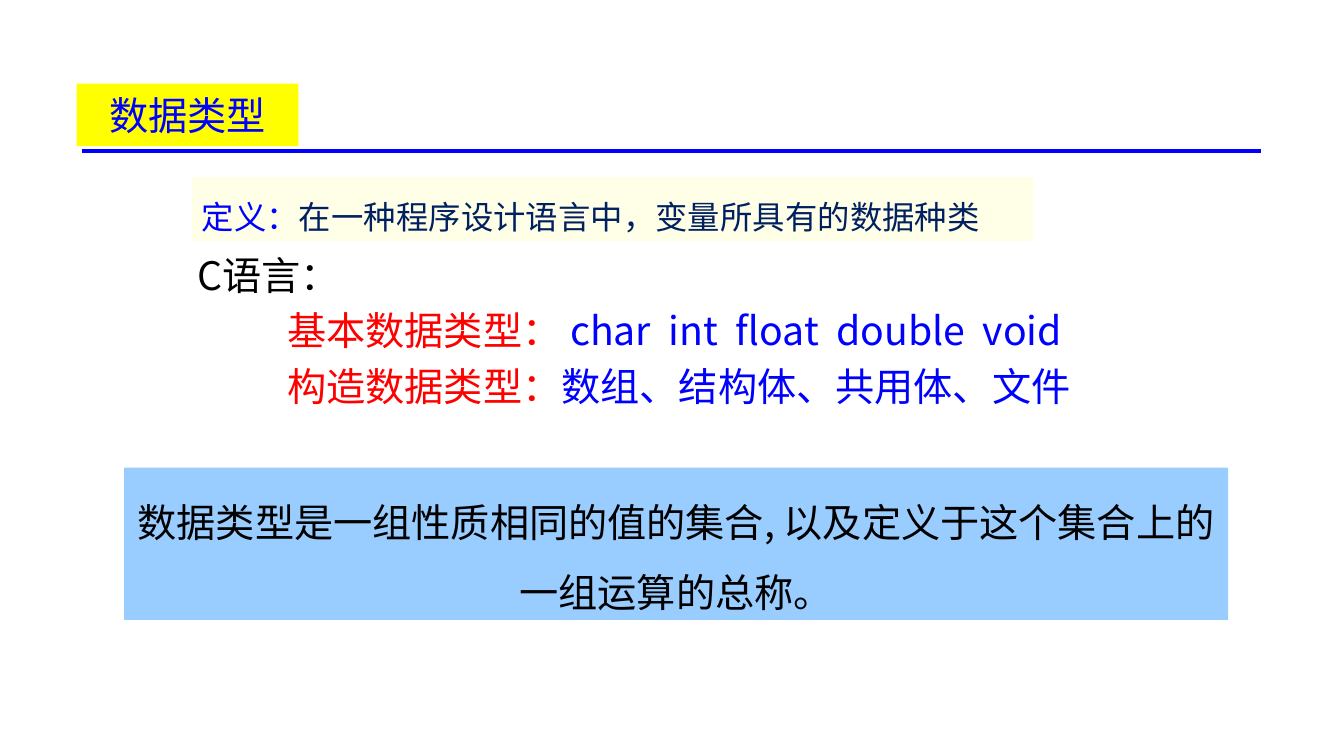
from pptx import Presentation
from pptx.dml.color import RGBColor
from pptx.enum.shapes import MSO_CONNECTOR, MSO_SHAPE
from pptx.enum.text import MSO_ANCHOR, MSO_AUTO_SIZE, PP_ALIGN
from pptx.oxml.ns import qn
from pptx.util import Inches, Pt

FONT = "Noto Sans CJK SC"
BLUE = RGBColor(0x00, 0x00, 0xFF)
NAVY = RGBColor(0x00, 0x20, 0x60)
RED = RGBColor(0xFF, 0x00, 0x00)
BLACK = RGBColor(0x00, 0x00, 0x00)
YELLOW = RGBColor(0xFF, 0xFF, 0x00)
CREAM = RGBColor(0xFF, 0xFF, 0xE7)
SKY = RGBColor(0x99, 0xCC, 0xFF)

# Each paragraph is a list of (text, colour) runs.
TITLE = [[("数据类型", BLUE)]]
DEFINITION = [[("定义：", BLUE), ("在一种程序设计语言中，变量所具有的数据种类", NAVY)]]
BASIC_TYPES = ("char", "int", "float", "double", "void")
BUILT_TYPES = ("数组", "结构体", "共用体", "文件")
TYPES = [
    [("C语言：", BLACK)],
    [("基本数据类型： ", RED), ("  ".join(BASIC_TYPES), BLUE)],
    [("构造数据类型：", RED), ("、".join(BUILT_TYPES), BLUE)],
]
SUMMARY = [[("数据类型是一组性质相同的值的集合, 以及定义于这个集合上的一组运算的总称。", BLACK)]]

# Left, top, width, height in inches
TITLE_BOX = (0.76, 0.83, 2.2, 0.62)
DEFINITION_BOX = (1.9, 1.76, 8.35, 0.63)
TYPES_BOX = (1.86, 2.36, 9.21, 1.8)
SUMMARY_BOX = (1.23, 4.64, 10.95, 1.51)
RULE_LEFT, RULE_RIGHT, RULE_TOP = 0.81, 12.51, 1.5
TYPE_INDENT = 0.89


def place(shape, box, fill=None):
    shape.left, shape.top, shape.width, shape.height = map(Inches, box)
    if fill is not None:
        shape.fill.solid()
        shape.fill.fore_color.rgb = fill


def write(shape, paragraphs, size, line_height, align=PP_ALIGN.LEFT,
          anchor=MSO_ANCHOR.TOP, indents=(0,)):
    """Fill a shape with unbulleted paragraphs of coloured runs."""
    frame = shape.text_frame
    frame.word_wrap = True
    frame.auto_size = MSO_AUTO_SIZE.NONE
    frame.vertical_anchor = anchor
    for index, runs in enumerate(paragraphs):
        paragraph = frame.add_paragraph() if index else frame.paragraphs[0]
        paragraph.alignment = align
        paragraph.line_spacing = line_height
        paragraph.space_before = Pt(0)
        properties = paragraph._p.get_or_add_pPr()
        properties.set("marL", str(Inches(indents[min(index, len(indents) - 1)])))
        properties.set("indent", "0")
        properties.append(properties.makeelement(qn("a:buNone"), {}))
        for text, colour in runs:
            run = paragraph.add_run()
            run.text = text
            run.font.size = Pt(size)
            run.font.name = FONT
            run.font.color.rgb = colour
            latin = run.font._element.find(qn("a:latin"))
            latin.addnext(latin.makeelement(qn("a:ea"), {"typeface": FONT}))


def main():
    presentation = Presentation()
    presentation.slide_width = Inches(13.33)
    presentation.slide_height = Inches(7.5)
    two_content = presentation.slide_layouts[3]
    slide = presentation.slides.add_slide(two_content)
    shapes = slide.shapes

    rule = shapes.add_connector(MSO_CONNECTOR.STRAIGHT, Inches(RULE_LEFT), Inches(RULE_TOP),
                                Inches(RULE_RIGHT), Inches(RULE_TOP))
    rule.line.color.rgb = BLUE
    rule.line.width = Pt(3)
    line_properties = rule._element.spPr
    line_properties.append(line_properties.makeelement(qn("a:effectLst"), {}))

    title = shapes.title
    place(title, TITLE_BOX, YELLOW)
    write(title, TITLE, 28, 1.0, PP_ALIGN.CENTER, MSO_ANCHOR.MIDDLE)

    definition, types = slide.placeholders[1], slide.placeholders[2]
    place(definition, DEFINITION_BOX, CREAM)
    write(definition, DEFINITION, 23.1, Pt(38))
    place(types, TYPES_BOX)
    write(types, TYPES, 28, Pt(39.6), indents=(0, TYPE_INDENT))

    summary = shapes.add_shape(MSO_SHAPE.RECTANGLE, *map(Inches, SUMMARY_BOX))
    place(summary, SUMMARY_BOX, SKY)
    summary.line.fill.background()
    summary.shadow.inherit = False
    summary.text_frame.margin_top = Inches(0.08)
    write(summary, SUMMARY, 28, Pt(50), PP_ALIGN.CENTER)

    presentation.save("out.pptx")


if __name__ == "__main__":
    main()
